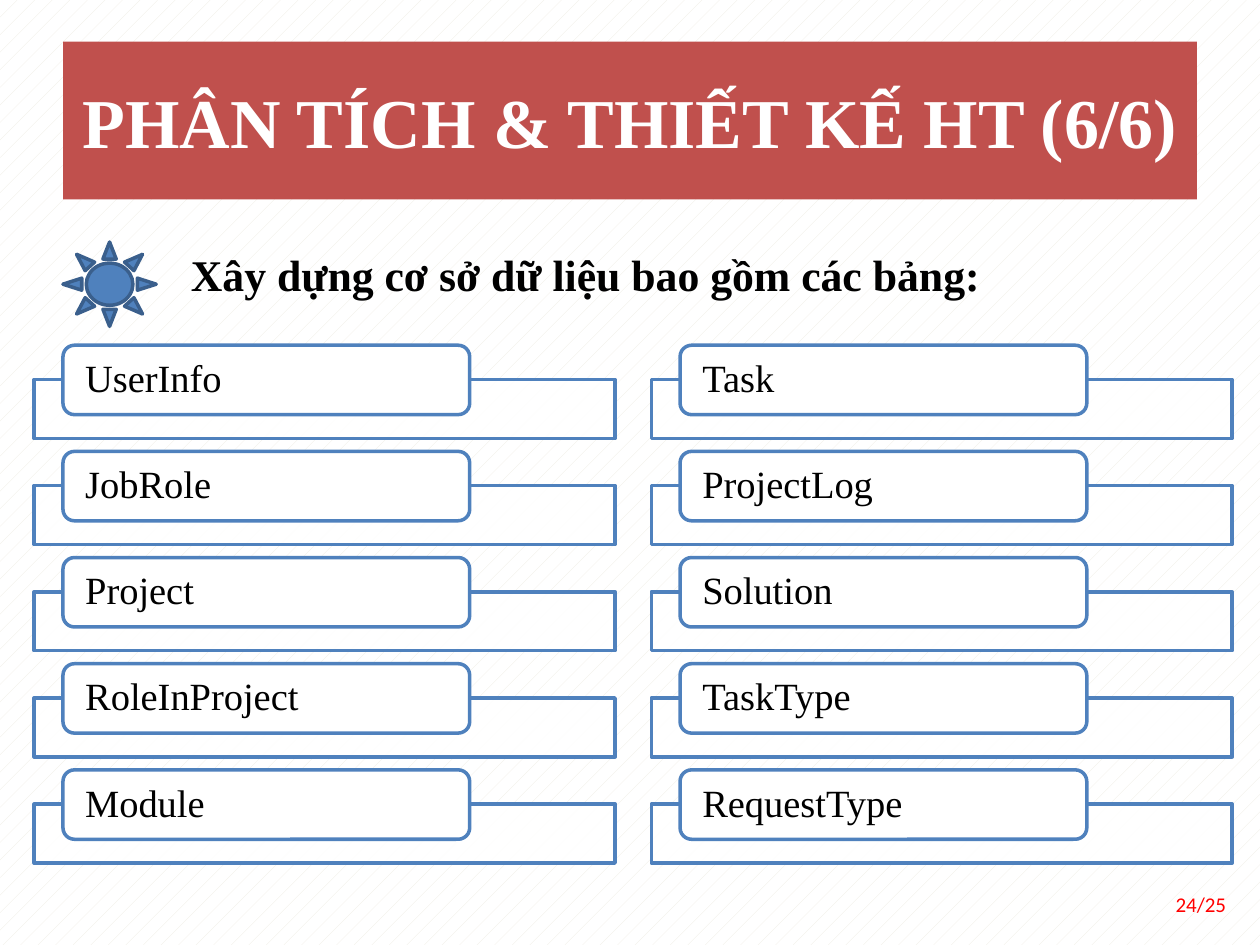
from lxml.etree import SubElement
from pptx import Presentation
from pptx.dml.color import RGBColor
from pptx.enum.dml import MSO_PATTERN
from pptx.enum.shapes import MSO_SHAPE as Shape
from pptx.enum.text import MSO_ANCHOR as Anchor, MSO_AUTO_SIZE as AutoSize, PP_ALIGN as Align
from pptx.oxml.ns import qn
from pptx.util import Cm, Pt

SERIF = "Times New Roman"
BLUE, WHITE, BLACK = "4F81BD", "FFFFFF", "000000"
TABLE_COLUMNS = [
    ["UserInfo", "JobRole", "Project", "RoleInProject", "Module"],
    ["Task", "ProjectLog", "Solution", "TaskType", "RequestType"],
]
COLUMN_LEFT, COLUMN_PITCH = 0.69, 12.44
ROW_TOP, ROW_PITCH = 6.96, 2.14


def colour(hex_code):
    """Turn a hex string into a colour."""
    return RGBColor.from_string(hex_code)


def write(frame, text, size, hex_code, font=SERIF, bold=False, align=Align.LEFT, anchor=Anchor.MIDDLE):
    """Fill a text frame with one formatted paragraph."""
    frame.text = text
    frame.word_wrap = True
    frame.auto_size = AutoSize.NONE
    frame.vertical_anchor = anchor
    paragraph = frame.paragraphs[0]
    paragraph.alignment = align
    style = paragraph.runs[0].font
    style.name, style.size, style.bold = font, Pt(size), bold
    style.color.rgb = colour(hex_code)


def add_outlined(shapes, kind, box, fill, line):
    """Add a filled preset shape with a 2 pt outline; box is in centimetres."""
    outlined = shapes.add_shape(kind, *map(Cm, box))
    outlined.shadow.inherit = False
    outlined.fill.solid()
    outlined.fill.fore_color.rgb = colour(fill)
    outlined.line.color.rgb = colour(line)
    outlined.line.width = Pt(2)
    return outlined


def add_label(slide, box, text, size, hex_code, **style):
    """Add a text box; box is in centimetres."""
    label = slide.shapes.add_textbox(*map(Cm, box))
    write(label.text_frame, text, size, hex_code, **style)


def set_background(slide):
    """Give the slide its faint dotted pattern."""
    fill = slide.background.fill
    fill.patterned()
    fill.pattern = MSO_PATTERN.PERCENT_5
    fill.fore_color.rgb = colour("EEECE1")
    fill.back_color.rgb = colour(WHITE)


def set_title(slide, text):
    """Place the title as a red banner."""
    title = slide.shapes.title
    title.left, title.top, title.width, title.height = map(Cm, (1.27, 0.84, 22.86, 3.18))
    title.fill.solid()
    title.fill.fore_color.rgb = colour("C0504D")
    write(title.text_frame, text, 40, WHITE, bold=True, align=Align.CENTER)


def add_table_name(shapes, left, top, name):
    """Add one list row: a wide frame with a rounded name tag over its top edge."""
    frame = add_outlined(shapes, Shape.RECTANGLE, (left, top + 0.69, 11.71, 1.19), WHITE, BLUE)
    white = frame.fill._xPr.find(qn("a:solidFill"))[0]
    SubElement(white, qn("a:alpha"), val="90000")
    tag = add_outlined(shapes, Shape.ROUNDED_RECTANGLE, (left + 0.58, top, 8.2, 1.4), WHITE, BLUE)
    text_frame = tag.text_frame
    write(text_frame, name, 22, BLACK)
    text_frame.margin_left = text_frame.margin_right = Cm(0.38)
    text_frame.margin_top = text_frame.margin_bottom = 0
    text_frame.paragraphs[0].line_spacing = 0.9


def add_table_column(slide, left, names):
    """Group one column of table names at an even pitch."""
    group = slide.shapes.add_group_shape()
    for row, name in enumerate(names):
        add_table_name(group.shapes, left, ROW_TOP + row * ROW_PITCH, name)


def main():
    """Build and save the slide."""
    deck = Presentation()
    deck.slide_width, deck.slide_height = Cm(25.4), Cm(19.05)
    slide = deck.slides.add_slide(deck.slide_layouts[5])
    set_background(slide)
    set_title(slide, "PHÂN TÍCH & THIẾT KẾ HT (6/6)")
    add_label(slide, (18.62, 17.65, 6.35, 1.14), "24/25", 12, "FF0000", font="Calibri", align=Align.RIGHT)
    add_outlined(slide.shapes, Shape.SUN, (1.27, 4.88, 1.88, 1.7), BLUE, "3A5F8C")
    add_label(slide, (3.38, 4.88, 17.58, 1.32), " Xây dựng cơ sở dữ liệu bao gồm các bảng:",
              25, BLACK, bold=True, anchor=Anchor.TOP)
    for column, names in enumerate(TABLE_COLUMNS):
        add_table_column(slide, COLUMN_LEFT + column * COLUMN_PITCH, names)
    deck.save("out.pptx")


if __name__ == "__main__":
    main()
